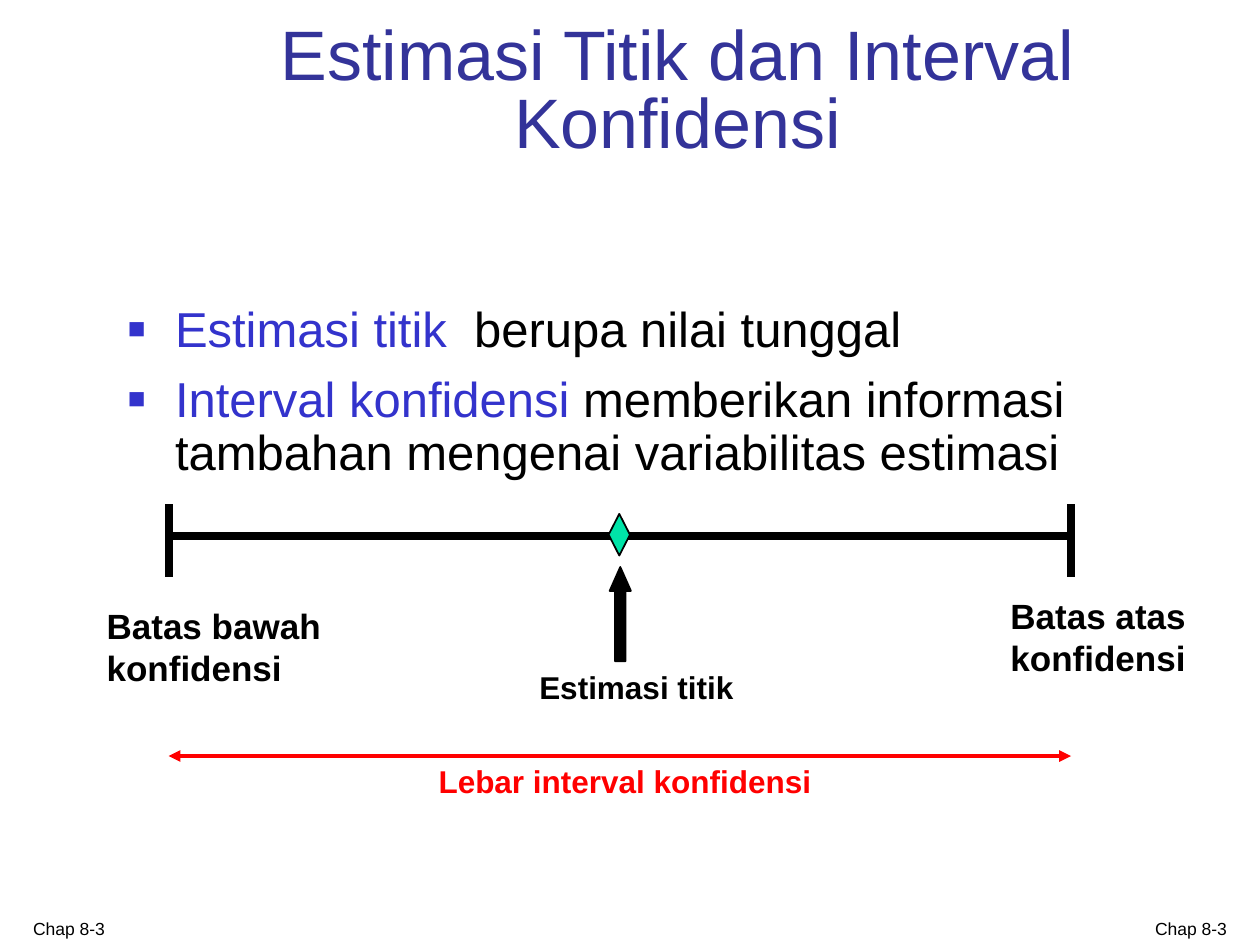
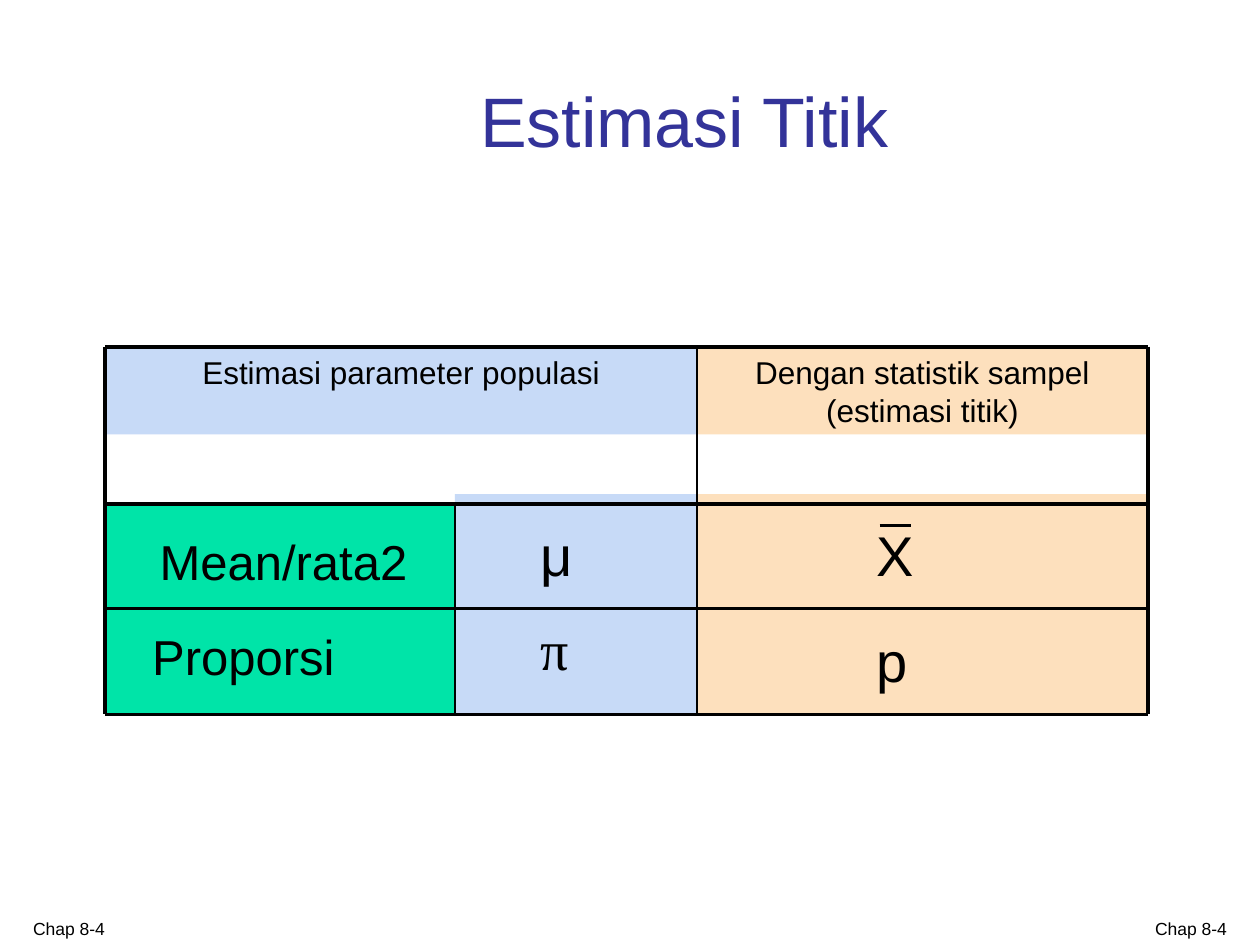
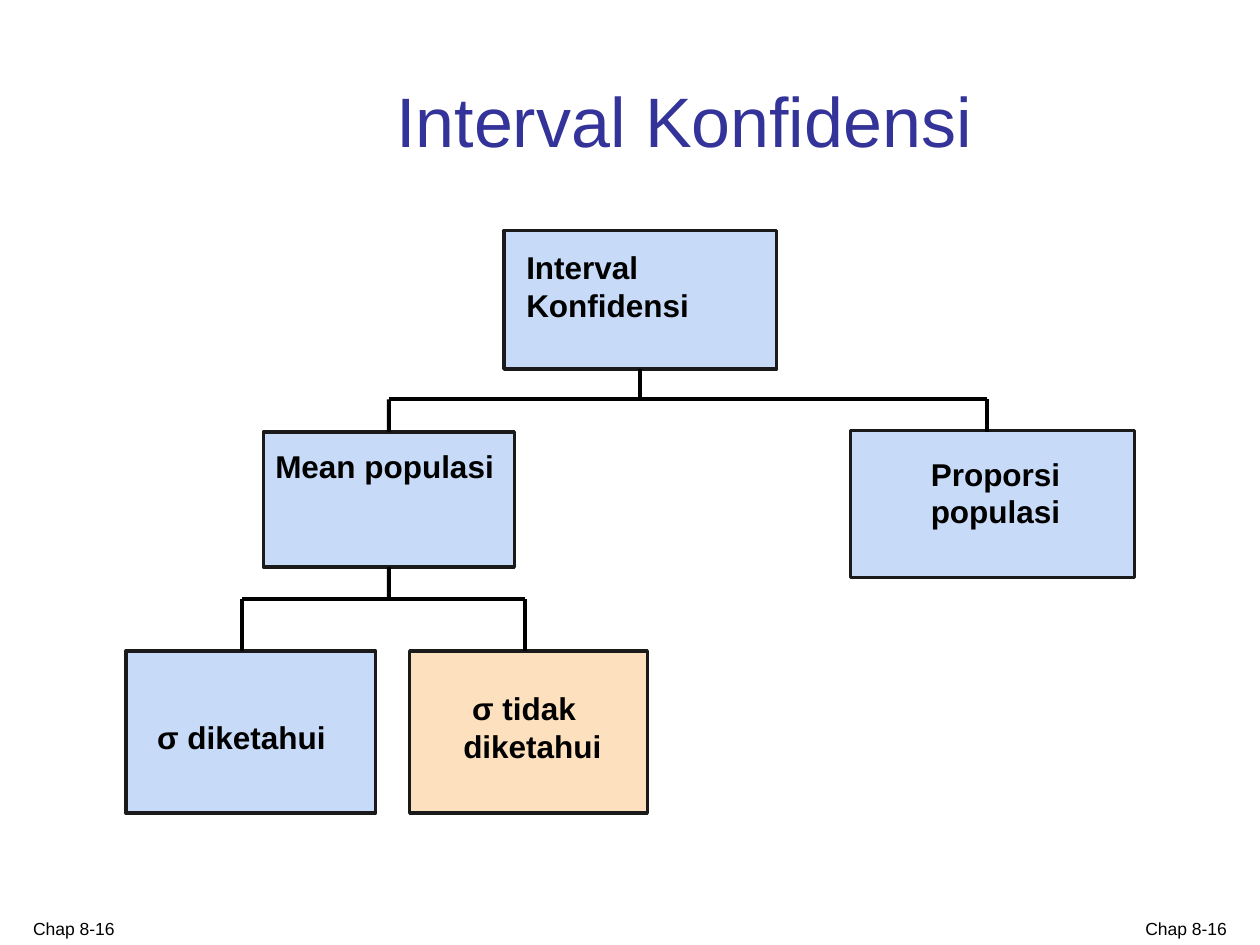
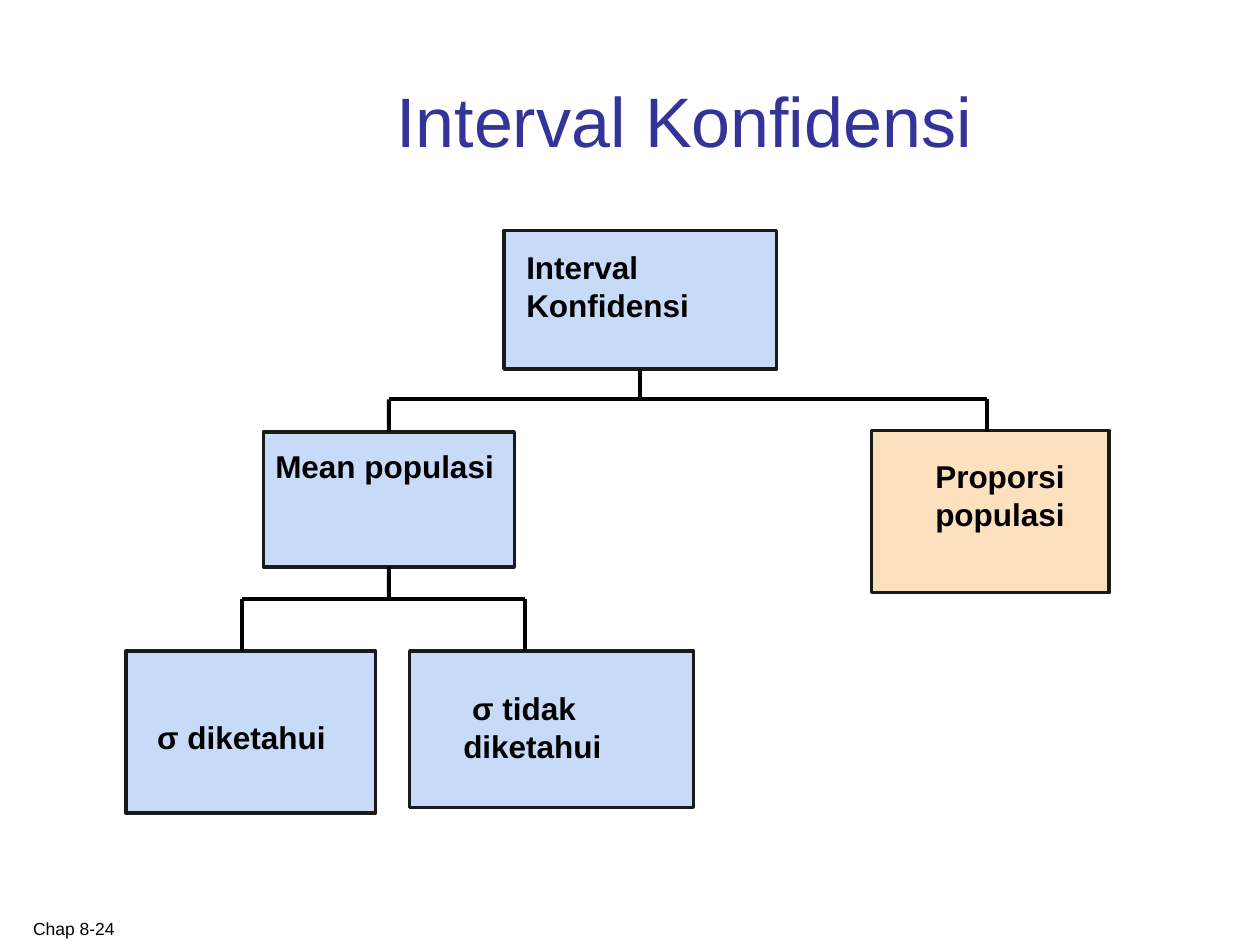
from lxml.etree import SubElement
from pptx import Presentation
from pptx.dml.color import RGBColor
from pptx.enum.shapes import MSO_CONNECTOR, MSO_SHAPE
from pptx.enum.text import MSO_ANCHOR, PP_ALIGN
from pptx.oxml.ns import qn
from pptx.util import Cm, Pt

BLACK, RED, NAVY, INDIGO, OUTLINE = "000000", "FF0000", "333399", "3333CC", "1A1A1A"
BLUE, ORANGE, GREEN = "C7DAF7", "FDE0BD", "00E4A8"
color = RGBColor.from_string
LEFT, CENTER, RIGHT = PP_ALIGN.LEFT, PP_ALIGN.CENTER, PP_ALIGN.RIGHT


def add_box(page, place, lines=(), size=18, bold=False, ink=BLACK, align=LEFT, anchor=MSO_ANCHOR.TOP,
            wrap=True, font="Arial", fill=None, outline=None, shape=MSO_SHAPE.RECTANGLE):
    """Add a filled shape, or a text box when there is no fill; place is in centimetres."""
    place = [Cm(value) for value in place]
    if fill:
        box = page.shapes.add_shape(shape, *place)
        box.shadow.inherit = False
        box.fill.solid()
        box.fill.fore_color.rgb = color(fill)
        if outline:
            line_color, width = outline
            box.line.color.rgb = color(line_color)
            box.line.width = Pt(width)
        else:
            box.line.fill.background()
    else:
        box = page.shapes.add_textbox(*place)
    frame = box.text_frame
    frame.word_wrap = wrap
    frame.vertical_anchor = anchor
    for index, line in enumerate(lines):
        para = frame.add_paragraph() if index else frame.paragraphs[0]
        para.text = line
        para.alignment = align
        para.font.name = font
        para.font.size = Pt(size)
        para.font.bold = bold
        para.font.color.rgb = color(ink)
    return box


def add_line(page, x1, y1, x2, y2, width, ink=BLACK):
    line = page.shapes.add_connector(MSO_CONNECTOR.STRAIGHT, Cm(x1), Cm(y1), Cm(x2), Cm(y2))
    line.line.color.rgb = color(ink)
    line.line.width = Pt(width)
    SubElement(line._element.spPr, qn("a:effectLst"))
    return line


deck = Presentation()
deck.slide_width, deck.slide_height = Cm(25.4), Cm(19.05)

# Titles and footers
WIDE_TITLE = (2.97, 0.64, 21.64, 2.74)
pages = []
for title, title_place, footer, footer_on_right in [
    ("Estimasi Titik dan Interval Konfidensi", (3.81, 0.64, 19.69, 2.74), "Chap 8-3", True),
    ("Estimasi Titik", WIDE_TITLE, "Chap 8-4", True),
    ("Interval Konfidensi", WIDE_TITLE, "Chap 8-16", True),
    ("Interval Konfidensi", WIDE_TITLE, "Chap 8-24", False),
]:
    page = deck.slides.add_slide(deck.slide_layouts[6])
    heading = add_box(page, title_place, [title], 40, ink=NAVY, align=CENTER, anchor=MSO_ANCHOR.BOTTOM)
    add_box(page, (0.42, 18.16, 12.9, 0.89), [footer], 10, anchor=MSO_ANCHOR.BOTTOM)
    if footer_on_right:
        add_box(page, (19.05, 18.16, 5.93, 0.89), [footer], 10, align=RIGHT, anchor=MSO_ANCHOR.BOTTOM)
    if not pages:
        heading.text_frame.paragraphs[0].line_spacing = 0.8
    pages.append(page)
interval_page, table_page, *tree_pages = pages

# Point estimate and confidence interval
frame = add_box(interval_page, (2.33, 6.02, 22.23, 3.96)).text_frame
for index, (term, meaning) in enumerate([
    ("Estimasi titik  ", "berupa nilai tunggal"),
    ("Interval konfidensi ", "memberikan informasi tambahan mengenai variabilitas estimasi"),
]):
    para = frame.add_paragraph() if index else frame.paragraphs[0]
    properties = para._p.get_or_add_pPr()
    properties.set("marL", str(Cm(0.95)))
    properties.set("indent", str(Cm(-0.95)))
    SubElement(SubElement(properties, qn("a:buClr")), qn("a:srgbClr"), val=INDIGO)
    SubElement(properties, qn("a:buSzPct"), val="60000")
    SubElement(properties, qn("a:buFont"), typeface="Arial")
    SubElement(properties, qn("a:buChar"), char="■")
    para.line_spacing = 0.9
    if index:
        para.space_before = Pt(10)
    para.font.name = "Arial"
    para.font.size = Pt(28)
    for text, ink in [(term, INDIGO), (meaning, BLACK)]:
        span = para.add_run()
        span.text = text
        span.font.color.rgb = color(ink)

lower, upper = 3.4, 21.59
add_line(interval_page, lower, 10.8, upper, 10.8, 4.5)
for limit in (lower, upper):
    add_line(interval_page, limit, 10.16, limit, 11.63, 4.5)
add_box(interval_page, (12.27, 10.36, 0.43, 0.84), fill=GREEN, outline=(BLACK, 1), shape=MSO_SHAPE.DIAMOND)
pointer = add_box(interval_page, (12.29, 11.43, 0.43, 1.9), fill=BLACK, outline=(BLACK, 1),
                  shape=MSO_SHAPE.UP_ARROW)
pointer.adjustments[0], pointer.adjustments[1] = 0.5, 1.125
width_line = add_line(interval_page, lower, 15.24, upper, 15.24, 2.25, RED)
for end in ("a:headEnd", "a:tailEnd"):
    SubElement(width_line.line._get_or_add_ln(), qn(end), type="triangle")
for place, label, size, ink, align in [
    ((7.85, 13.34, 9.96, 1.02), "Estimasi titik", 18, BLACK, CENTER),
    ((1.9, 12.07, 4.88, 1.96), "Batas bawah konfidensi", 20, BLACK, LEFT),
    ((20.12, 11.86, 4.65, 1.96), "Batas atas konfidensi", 20, BLACK, LEFT),
    ((7.62, 15.24, 9.96, 1.02), "Lebar interval konfidensi", 18, RED, CENTER),
]:
    add_box(interval_page, place, [label], size, True, ink, align)

# Parameters and their point estimates
left, symbol, sample, right = 2.12, 9.17, 14.05, 23.14
top, mean_row, proportion_row, bottom = 6.99, 10.16, 12.27, 14.4
for x1, y1, x2, y2, fill, lines in [
    (left, top, sample, 8.76, BLUE, ["Estimasi parameter populasi"]),
    (sample, top, right, 8.76, ORANGE, ["Dengan statistik sampel", "(estimasi titik)"]),
    (left, mean_row, symbol, bottom, GREEN, []),
    (symbol, 9.96, sample, bottom, BLUE, []),
    (sample, 9.96, right, bottom, ORANGE, []),
]:
    add_box(table_page, (x1, y1, x2 - x1, y2 - y1), lines, align=CENTER, fill=fill)
for y in (top, mean_row, proportion_row, bottom):
    add_line(table_page, left, y, right, y, 2)
for x, start, width in [(left, top, 2.25), (symbol, mean_row, 1.5), (sample, top, 1.5), (right, top, 2.25)]:
    add_line(table_page, x, start, x, bottom, width)
for place, text, size, font in [
    ((2.97, 10.59, 5.56, 1.45), "Mean/rata2", 28, "Arial"),
    ((2.82, 12.5, 4.24, 1.45), "Proporsi", 28, "Arial"),
    ((10.64, 10.36, 1.12, 1.6), "μ", 32, "Arial"),
    ((10.64, 12.27, 1.07, 1.6), "π", 32, "Times New Roman"),
    ((17.42, 10.36, 1.24, 1.6), "X", 32, "Arial"),
    ((17.42, 12.5, 1.12, 1.6), "p", 32, "Arial"),
]:
    add_box(table_page, place, [text], size, wrap=False, font=font)
add_line(table_page, 17.73, 10.59, 18.36, 10.59, 1.5)

# Trees of confidence intervals, with the current topic in orange
for page, unknown_place, unknown_fill, proportion_place, proportion_fill, proportion_text in [
    (tree_pages[0], (8.26, 13.12, 4.79, 3.27), ORANGE, (17.15, 8.68, 5.72, 2.96), BLUE, (17.48, 9.04, 5.18, 1.77)),
    (tree_pages[1], (8.26, 13.12, 5.72, 3.16), BLUE, (17.57, 8.68, 4.79, 3.27), ORANGE, (17.57, 9.09, 5.18, 1.77)),
]:
    nodes = []
    for place, fill, text_place, lines, align, wrap in [
        ((10.16, 4.65, 5.5, 2.79), BLUE, (10.36, 4.88, 3.81, 1.77), ["Interval", "Konfidensi"], LEFT, False),
        ((5.31, 8.71, 5.06, 2.72), BLUE, (5.28, 8.89, 4.95, 1.02), ["Mean populasi"], CENTER, False),
        (proportion_place, proportion_fill, proportion_text, ["Proporsi populasi"], CENTER, True),
        ((2.54, 13.12, 5.03, 3.27), BLUE, (2.92, 14.35, 3.93, 1.02), ["σ diketahui"], LEFT, False),
        (unknown_place, unknown_fill, (9.09, 13.77, 3.33, 1.77), ["σ tidak", "diketahui"], LEFT, False),
    ]:
        nodes.append(add_box(page, place, fill=fill, outline=(OUTLINE, 2)))
        label = add_box(page, text_place, lines, bold=True, align=align, wrap=wrap)
    label.text_frame.paragraphs[0]._p.get_or_add_pPr().set("marL", str(Cm(0.18)))
    root, mean = nodes[:2]
    for parent, stem, parent_bottom, bus, child_top, first, last in [
        (root, 12.91, 7.44, 8.05, 8.71, 7.84, 19.89),
        (mean, 7.84, 11.43, 12.07, 13.12, 4.88, 10.59),
    ]:
        add_line(page, stem, parent_bottom, stem, bus, 2.25).begin_connect(parent, 2)
        add_line(page, first, bus, last, bus, 2.25)
        for x in (first, last):
            drop = add_line(page, x, bus, x, child_top, 2.25)
            if parent is root and x == first:
                drop.end_connect(mean, 0)

deck.save("out.pptx")
